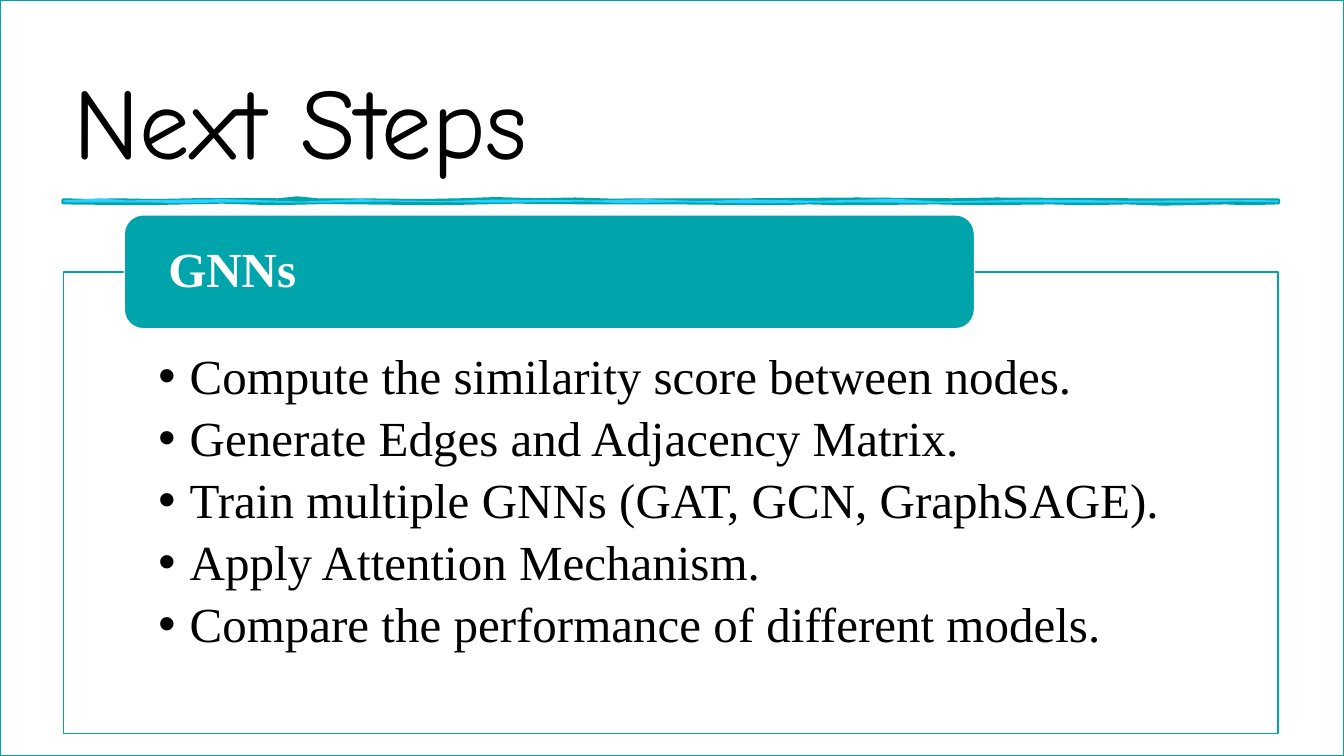
from lxml import etree
from pptx import Presentation
from pptx.dml.color import RGBColor
from pptx.enum.shapes import MSO_SHAPE
from pptx.enum.text import MSO_ANCHOR, MSO_AUTO_SIZE, PP_ALIGN
from pptx.oxml.ns import qn
from pptx.util import Cm, Pt

RECT, ROUND = MSO_SHAPE.RECTANGLE, MSO_SHAPE.ROUNDED_RECTANGLE
TOP, MIDDLE, BOTTOM = MSO_ANCHOR.TOP, MSO_ANCHOR.MIDDLE, MSO_ANCHOR.BOTTOM
LEFT = PP_ALIGN.LEFT
FIXED = MSO_AUTO_SIZE.NONE

COLORS = {"white": "FFFFFF", "black": "000000", "teal": "00A5AB", "sky": "2BD0FF"}
SERIF, HAND = "Times New Roman", "Comic Neue"
WIDTH, HEIGHT = 33.87, 19.05
MARGIN, SPAN = 1.6, 30.61

STEPS = [
    "Compute the similarity score between nodes.",
    "Generate Edges and Adjacency Matrix.",
    "Train multiple GNNs (GAT, GCN, GraphSAGE).",
    "Apply Attention Mechanism.",
    "Compare the performance of different models.",
]

# Brush edges: distance along the stroke in cm, rise or dip in 0.01 cm
OUTER = (
    [(0, 0), (0.7, 2), (1.3, 0), (2.3, 2), (3.2, 0), (4.3, -1), (5.4, 0), (5.9, -5),
     (6.4, 0), (7.4, 0), (9, 2), (10, 0), (10.9, -3), (11.9, 0), (12.9, -2),
     (13.8, 1), (14.8, 0), (17.3, 0), (20, -2), (22.4, 0), (23.5, -2), (26.9, 0),
     (SPAN, 0)],
    [(SPAN, 5), (29.8, 7), (29.3, 5), (27.7, 8), (26.8, 5), (25.7, 7), (24.9, 5),
     (23, 7), (22, 5), (19.6, 7), (18.8, 5), (17.8, 7), (15.5, 5), (13.3, 5),
     (11.4, 3), (9.5, 7), (6.6, 4), (5.3, 7), (4, 3), (2, 7), (0, 5)],
)
INNER = (
    [(0, 0), (0.9, -5), (1.6, 0), (4, -3), (5.1, 0), (6, 3), (7.5, -3), (8.3, 0),
     (9.5, 2), (10.9, -2), (13.5, 0), (14.7, -3), (16, 2), (17.2, -2), (19, 1),
     (21, -4), (22, 3), (24.5, -2), (27, 1), (29.5, -1), (SPAN, 0)],
    [(SPAN, 5), (29.5, 3), (28.4, 6), (26, 6), (23.6, 5), (21.7, 7), (20.3, 5),
     (17.4, 7), (15.5, 5), (14, 7), (13.2, 3), (11, 6), (8, 3), (6.5, 6),
     (4.3, 5), (3, 7), (2, 5), (0, 5)],
)


def tone(name):
    return RGBColor.from_string(COLORS[name])


def paint(shape, fill=None, line=None, width=1):
    shape.shadow.inherit = False
    if fill:
        shape.fill.solid()
        shape.fill.fore_color.rgb = tone(fill)
    else:
        shape.fill.background()
    if line:
        shape.line.color.rgb = tone(line)
        shape.line.width = Pt(width)
    else:
        shape.line.fill.background()


def place(shape, box):
    shape.left, shape.top, shape.width, shape.height = map(Cm, box)


def write(shape, lines, size=35, font=SERIF, color="black", bold=False,
          anchor=TOP, inset=(0.25, 0.13, 0.25, 0.13), space=None, after=0,
          indent=None):
    frame = shape.text_frame
    frame.word_wrap = True
    frame.auto_size = FIXED
    frame.vertical_anchor = anchor
    (frame.margin_left, frame.margin_top,
     frame.margin_right, frame.margin_bottom) = map(Cm, inset)
    frame.text = "\n".join(lines)
    for para in frame.paragraphs:
        if indent:
            props = para._p.get_or_add_pPr()
            props.set("marL", str(Cm(indent)))
            props.set("indent", str(-Cm(indent)))
            etree.SubElement(props, qn("a:buChar")).set("char", "•")
        para.alignment = LEFT
        para.space_before = Pt(0)
        para.space_after = Pt(after)
        if space:
            para.line_spacing = space
        para.font.size = Pt(size)
        para.font.name = font
        para.font.bold = bold
        para.font.color.rgb = tone(color)


def frame_page(slide, box):
    """Outline the page behind everything else."""
    page = slide.shapes.add_shape(RECT, *map(Cm, box))
    paint(page, "white", "teal")
    slide.shapes._spTree.insert(2, page._element)


def add_title(slide, box, text):
    title = slide.shapes.title
    place(title, box)
    write(title, [text], size=72, font=HAND, anchor=BOTTOM)


def add_brush(slide, left, top):
    """Draw the hand-made rule: a teal stroke under a sky-blue core."""
    looks = ((OUTER, None, "teal"), (INNER, "sky", None))
    for (upper, lower), fill, line in looks:
        dots = [(Cm(left + x), Cm(top + y / 100)) for x, y in upper + lower]
        path = slide.shapes.build_freeform(*dots[0], scale=1.0)
        path.add_line_segments(dots[1:], close=True)
        paint(path.convert_to_shape(), fill, line, 3)


def add_panel(slide, box, head, items):
    """Fill the body box with bullets and set its heading tab on the top edge."""
    left, top, width, _ = box
    body = slide.placeholders[1]
    place(body, box)
    paint(body, "white", "teal")
    write(body, items, inset=(2.39, 2.03, 2.39, 0.68), space=0.9, after=6.5,
          indent=0.79)
    tall = 2.87
    tab = slide.shapes.add_shape(ROUND, Cm(left + width * 0.05), Cm(top - tall / 2),
                                 Cm(width * 0.7), Cm(tall))
    paint(tab, "teal", "white")
    write(tab, [head], color="white", bold=True, anchor=MIDDLE,
          inset=(0.97, 0, 0.97, 0), space=0.9)


def main():
    deck = Presentation()
    deck.slide_width, deck.slide_height = Cm(WIDTH), Cm(HEIGHT)
    slide = deck.slides.add_slide(deck.slide_layouts[1])
    frame_page(slide, (0, 0, WIDTH, HEIGHT))
    add_title(slide, (MARGIN, 0.66, SPAN, 3.99), "Next Steps")
    add_brush(slide, MARGIN, 5.05)
    add_panel(slide, (MARGIN, 6.85, SPAN, 11.64), "GNNs", STEPS)
    deck.save("out.pptx")


if __name__ == "__main__":
    main()
